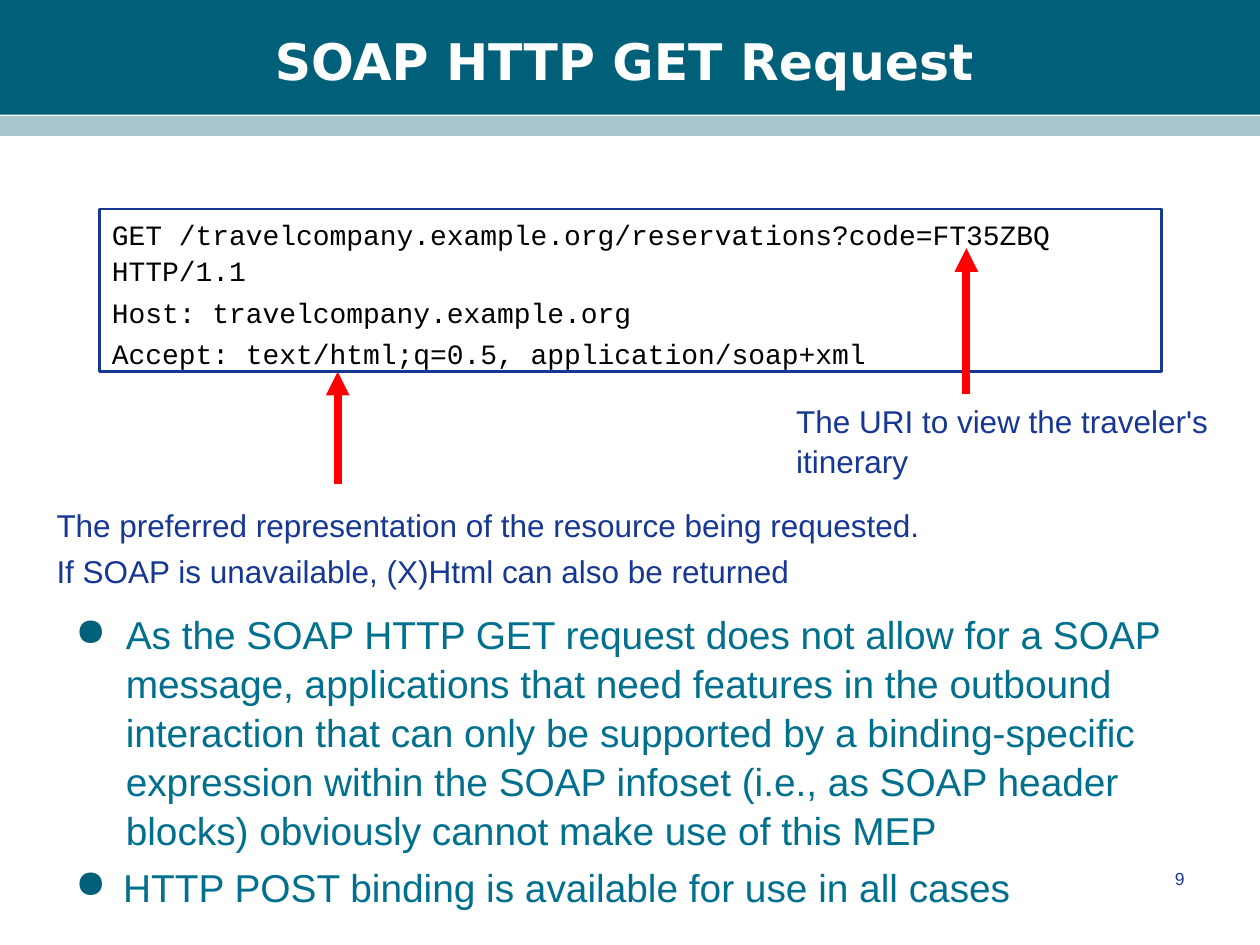
from dataclasses import dataclass

from lxml import etree
from pptx import Presentation
from pptx.dml.color import RGBColor
from pptx.enum.shapes import MSO_CONNECTOR, MSO_SHAPE
from pptx.enum.text import MSO_ANCHOR, PP_ALIGN
from pptx.oxml.ns import qn
from pptx.util import Inches, Pt


@dataclass(frozen=True)
class Theme:
    band: str = "00607A"
    stripe: str = "A9C6CC"
    title: str = "FFFFFF"
    body: str = "00708E"
    note: str = "163794"
    code: str = "000000"
    arrow: str = "FF0000"
    title_font: str = "DejaVu Sans"
    text_font: str = "Arial"
    code_font: str = "Courier New"
    title_size: float = 28.8
    body_size: float = 22.2
    note_size: float = 18
    code_size: float = 16
    number_size: float = 10


THEME = Theme()

REQUEST = [
    "GET /travelcompany.example.org/reservations?code=FT35ZBQ HTTP/1.1",
    "Host: travelcompany.example.org",
    "Accept: text/html;q=0.5, application/soap+xml",
]
PREFERENCE = [
    "The preferred representation of the resource being requested.",
    "If SOAP is unavailable, (X)Html can also be returned",
]
POINTS = [
    "As the SOAP HTTP GET request does not allow for a SOAP message, "
    "applications that need features in the outbound interaction that can "
    "only be supported by a binding-specific expression within the SOAP "
    "infoset (i.e., as SOAP header blocks) obviously cannot make use of this MEP",
    "HTTP POST binding is available for use in all cases",
]
POINT_INDENTS = [0.4, 0.38]


def inches(*lengths):
    return [Inches(length) for length in lengths]


def style_font(font, name, size, color, bold=False):
    font.name = name
    font.size = Pt(size)
    font.bold = bold
    font.color.rgb = RGBColor.from_string(color)


def write_lines(text_frame, lines, font_name, size, color, spacing=1.05,
                align=PP_ALIGN.LEFT):
    text_frame.word_wrap = True
    text_frame.text = "\n".join(lines)
    for index, paragraph in enumerate(text_frame.paragraphs):
        paragraph.alignment = align
        paragraph.line_spacing = spacing
        paragraph.space_before = Pt(round(size * 0.2, 1) if index else 0)
        for run in paragraph.runs:
            style_font(run.font, font_name, size, color)


def add_band(slide, top, height, color):
    band = slide.shapes.add_shape(MSO_SHAPE.RECTANGLE, *inches(0, top, 10, height))
    band.shadow.inherit = False
    band.fill.solid()
    band.fill.fore_color.rgb = RGBColor.from_string(color)
    band.line.fill.background()


def place_title(slide, text):
    title = slide.shapes.title
    title.left, title.top, title.width, title.height = inches(0.33, 0.17, 9.25, 0.62)
    title.text_frame.text = text
    title.text_frame.vertical_anchor = MSO_ANCHOR.MIDDLE
    paragraph = title.text_frame.paragraphs[0]
    paragraph.alignment = PP_ALIGN.CENTER
    style_font(paragraph.runs[0].font, THEME.title_font, THEME.title_size,
               THEME.title, bold=True)
    # Bring the title in front of the bands.
    slide.shapes.element.append(title.element)


def add_text(slide, box, lines, size, color, align=PP_ALIGN.LEFT):
    text_box = slide.shapes.add_textbox(*inches(*box))
    write_lines(text_box.text_frame, lines, THEME.text_font, size, color, align=align)
    return text_box


def add_bullets(slide, box, points, indents):
    text_frame = add_text(slide, box, points, THEME.body_size, THEME.body).text_frame
    text_frame.vertical_anchor = MSO_ANCHOR.MIDDLE
    for paragraph, indent in zip(text_frame.paragraphs, indents):
        properties = paragraph._p.get_or_add_pPr()
        properties.set("marL", str(Inches(indent)))
        properties.set("indent", str(-Inches(indent)))
        bullet_color = etree.SubElement(properties, qn("a:buClr"))
        etree.SubElement(bullet_color, qn("a:srgbClr"), val=THEME.band)
        etree.SubElement(properties, qn("a:buChar"), char="●")


def add_code_box(slide, box, lines):
    code_box = slide.shapes.add_shape(MSO_SHAPE.RECTANGLE, *inches(*box))
    code_box.shadow.inherit = False
    code_box.fill.background()
    code_box.line.color.rgb = RGBColor.from_string(THEME.note)
    code_box.line.width = Pt(1.5)
    code_box.text_frame.vertical_anchor = MSO_ANCHOR.TOP
    write_lines(code_box.text_frame, lines, THEME.code_font, THEME.code_size,
                THEME.code, spacing=1.07)


def add_up_arrow(slide, x, bottom, top):
    arrow = slide.shapes.add_connector(MSO_CONNECTOR.STRAIGHT,
                                       *inches(x, bottom, x, top))
    arrow.line.color.rgb = RGBColor.from_string(THEME.arrow)
    arrow.line.width = Pt(4.5)
    etree.SubElement(arrow.line._get_or_add_ln(), qn("a:tailEnd"), type="triangle")
    etree.SubElement(arrow.element.spPr, qn("a:effectLst"))


def main():
    presentation = Presentation()
    presentation.slide_width, presentation.slide_height = inches(10, 7.5)
    slide = presentation.slides.add_slide(presentation.slide_layouts[5])

    add_band(slide, 0, 0.91, THEME.band)
    add_band(slide, 0.92, 0.16, THEME.stripe)
    place_title(slide, "SOAP HTTP GET Request")
    add_bullets(slide, (0.5, 4.69, 9, 2.67), POINTS, POINT_INDENTS)
    add_code_box(slide, (0.79, 1.66, 8.43, 1.29), REQUEST)
    add_up_arrow(slide, 7.67, 3.13, 1.97)
    add_text(slide, (6.22, 3.13, 3.79, 0.71),
             ["The URI to view the traveler's itinerary"],
             THEME.note_size, THEME.note)
    add_up_arrow(slide, 2.68, 3.84, 2.95)
    add_text(slide, (0.35, 3.95, 7.32, 0.77), PREFERENCE,
             THEME.note_size, THEME.note)
    add_text(slide, (7.17, 6.83, 2.33, 0.5), ["9"],
             THEME.number_size, THEME.note, align=PP_ALIGN.RIGHT)

    presentation.save("out.pptx")


if __name__ == "__main__":
    main()
